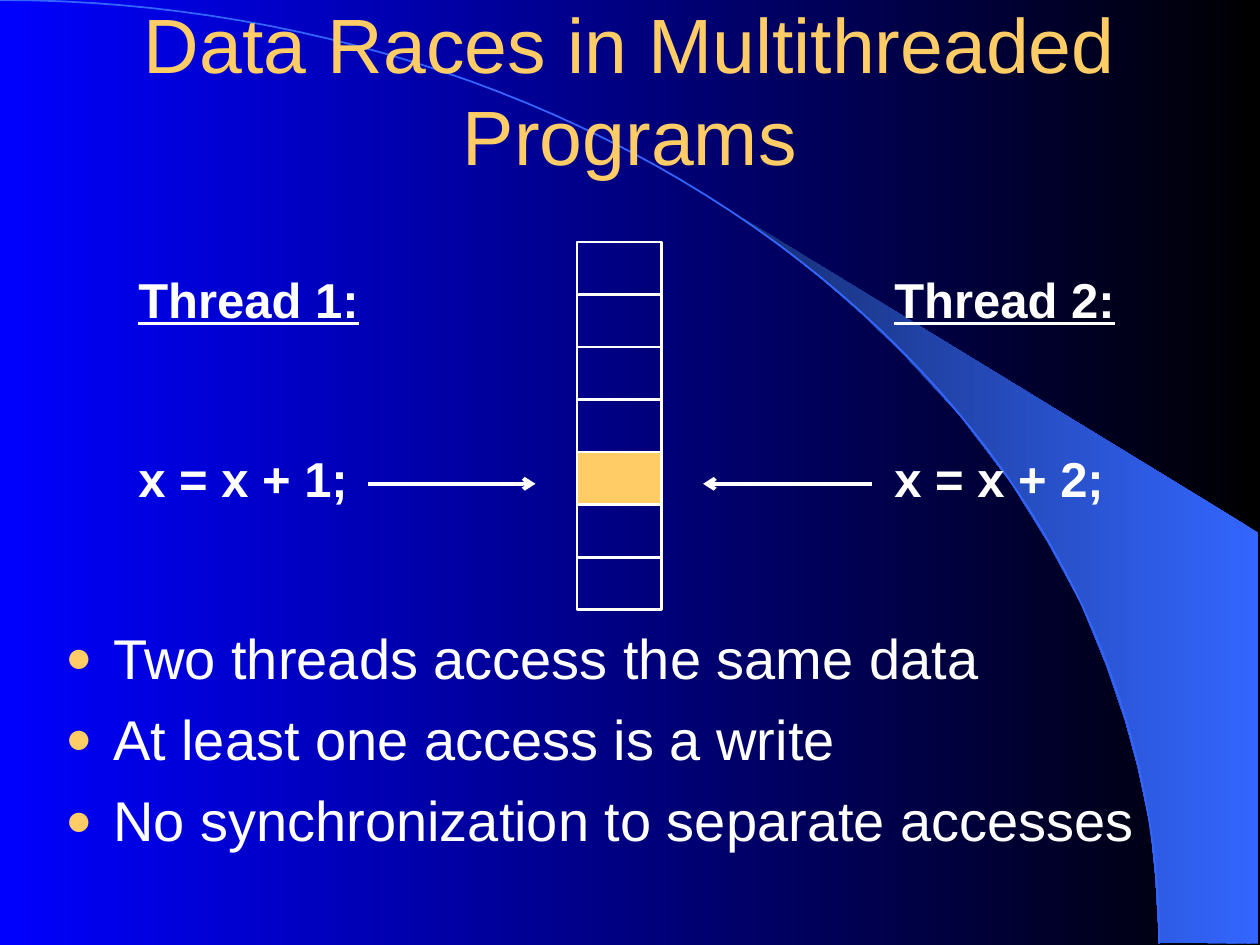
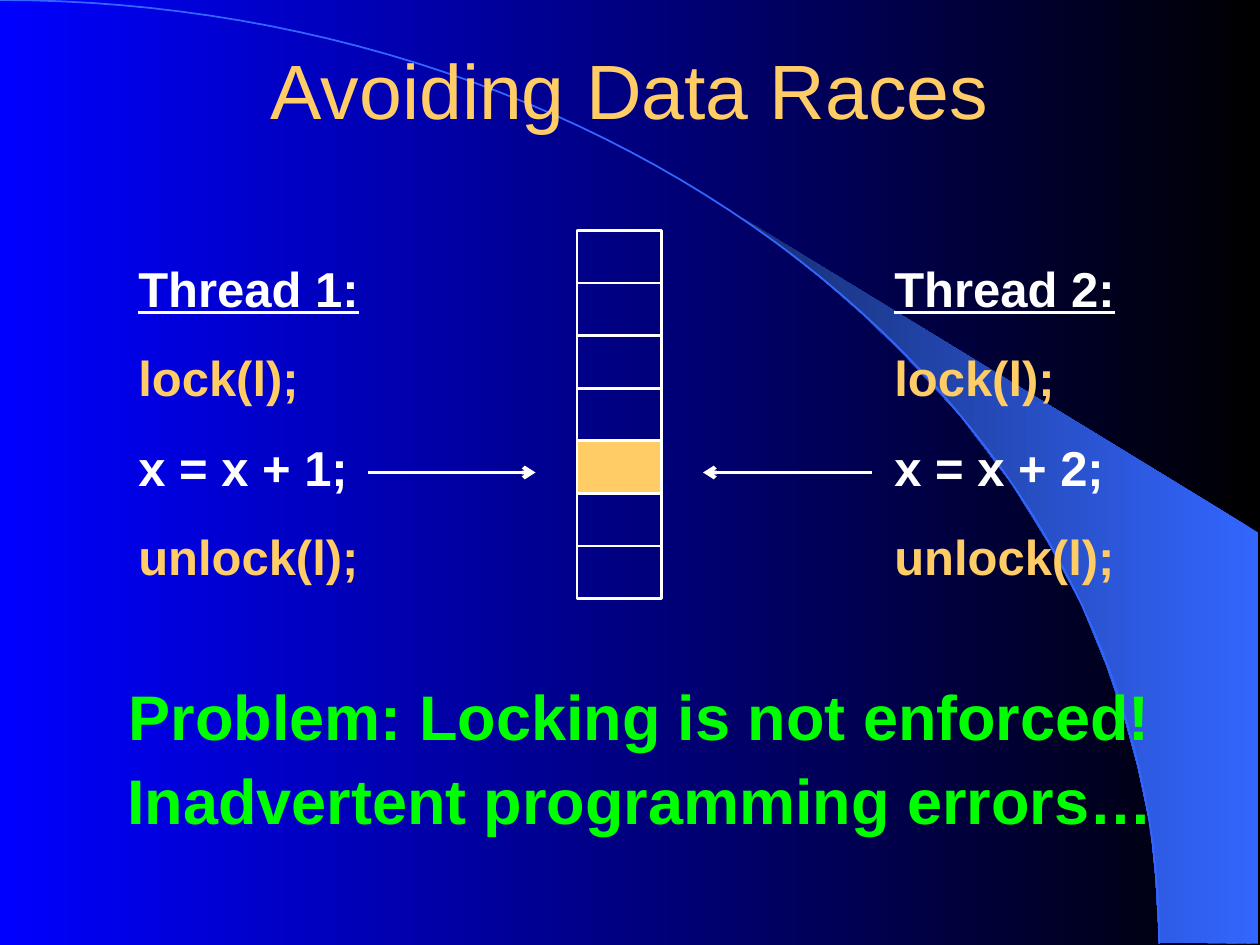
from dataclasses import dataclass
from math import cos, pi, sin

from lxml import etree
from pptx import Presentation
from pptx.dml.color import RGBColor
from pptx.enum.shapes import MSO_CONNECTOR, MSO_SHAPE
from pptx.enum.text import MSO_ANCHOR, MSO_AUTO_SIZE, PP_ALIGN
from pptx.oxml import parse_xml
from pptx.oxml.ns import qn
from pptx.util import Inches, Pt

STRAIGHT = MSO_CONNECTOR.STRAIGHT
RECTANGLE = MSO_SHAPE.RECTANGLE
TOP, MIDDLE = MSO_ANCHOR.TOP, MSO_ANCHOR.MIDDLE
NO_AUTOFIT = MSO_AUTO_SIZE.NONE
LEFT, CENTER = PP_ALIGN.LEFT, PP_ALIGN.CENTER
TITLE_ONLY = 5
DRAWING_NS = "http://schemas.openxmlformats.org/drawingml/2006/main"

WIDTH, HEIGHT = 10, 7.5
ARC_WIDTH, ARC_HEIGHT, ARC_STEPS = 9.2, 7.49, 60
SASH = [
    (9.2, 7.48), (9.99, 7.49), (9.99, 4.23), (5.89, 1.73), (6.24, 1.99),
    (6.53, 2.22), (6.85, 2.5), (7.16, 2.8), (7.62, 3.3), (8.03, 3.84),
    (8.32, 4.31), (8.58, 4.79), (8.78, 5.28), (8.93, 5.72), (9.03, 6.09),
    (9.13, 6.56), (9.17, 6.96),
]
MEMORY_LEFT, MEMORY_WIDTH, MEMORY_HEIGHT = 4.58, 0.67, 2.92
CELL_COUNT, SHARED_CELL = 7, 4
ARROW_DROP = 1.92
ARROW_SPANS = [(2.92, 4.25), (6.92, 5.58)]
THREADS = [(1, 1, 2), (2, 7, 2.17)]
THREAD_DROP = 0.17


@dataclass(frozen=True)
class Theme:
    font: str = "Arial"
    white: str = "FFFFFF"
    gold: str = "FFCC66"
    green: str = "00FF00"
    black: str = "000000"
    blue: str = "0000FF"
    sky: str = "3366FF"
    navy: str = "172F75"
    title_size: float = 44
    warning_size: float = 36
    point_size: float = 32
    code_size: float = 28
    code_gap: float = 17.5
    skipped_line_gap: float = 68.6
    point_gap: float = 8
    warning_gap: float = 9
    arc_line: float = 1
    cell_line: float = 1.5
    arrow_line: float = 2.25


def apply(target, values):
    for name, value in values.items():
        setattr(target, name, value)


def box(left, top, width, height):
    return {"left": Inches(left), "top": Inches(top),
            "width": Inches(width), "height": Inches(height)}


class Deck:
    def __init__(self, theme):
        self.theme = theme
        self.presentation = Presentation()
        apply(self.presentation,
              {"slide_width": Inches(WIDTH), "slide_height": Inches(HEIGHT)})
        self.layout = self.presentation.slide_layouts[TITLE_ONLY]
        self.slide = None

    def start_slide(self, title, left, width):
        self.slide = self.presentation.slides.add_slide(self.layout)
        heading = self.slide.shapes.title
        apply(heading, box(left, 0.08, width, 1.25))
        self.prepare_frame(heading.text_frame, MIDDLE)
        self.add_text(heading.text_frame.paragraphs[0], title,
                      self.theme.title_size, self.theme.gold, align=CENTER)

    def prepare_frame(self, frame, anchor):
        apply(frame, {
            "word_wrap": True, "auto_size": NO_AUTOFIT, "vertical_anchor": anchor,
            "margin_left": Inches(0.1), "margin_right": Inches(0.1),
            "margin_top": Inches(0.05), "margin_bottom": Inches(0.05),
        })

    def add_text(self, paragraph, text, size, color, bold=False, underline=False,
                 align=LEFT, gap=0, spacing=1.0):
        apply(paragraph, {"alignment": align, "space_before": Pt(gap),
                          "line_spacing": spacing})
        run = paragraph.add_run()
        run.text = text
        apply(run.font, {"name": self.theme.font, "size": Pt(size),
                         "bold": bold, "underline": underline})
        run.font.color.rgb = RGBColor.from_string(color)
        return run

    def text_box(self, place, lines):
        frame = self.slide.shapes.add_textbox(*box(*place).values()).text_frame
        self.prepare_frame(frame, TOP)
        runs = []
        for number, line in enumerate(lines):
            paragraph = frame.add_paragraph() if number else frame.paragraphs[0]
            runs.append(self.add_text(paragraph, **line))
        return frame, runs

    def bullets(self, place, points):
        theme = self.theme
        frame, _ = self.text_box(place, [
            {"text": point, "size": theme.point_size, "color": theme.white,
             "gap": theme.point_gap} for point in points])
        for paragraph in frame.paragraphs:
            properties = paragraph._p.get_or_add_pPr()
            properties.set("marL", str(Inches(0.38)))
            properties.set("indent", str(Inches(-0.38)))
            color = etree.SubElement(properties, qn("a:buClr"))
            etree.SubElement(color, qn("a:srgbClr"), val=theme.gold)
            etree.SubElement(properties, qn("a:buSzPct"), val="80000")
            etree.SubElement(properties, qn("a:buFont"), typeface=theme.font)
            etree.SubElement(properties, qn("a:buChar"), char="●")

    def warning(self, place, lines):
        theme = self.theme
        _, runs = self.text_box(place, [
            {"text": line, "size": theme.warning_size, "color": theme.green,
             "bold": True, "align": CENTER, "gap": theme.warning_gap,
             "spacing": 0.9} for line in lines])
        for run in runs:
            run._r.rPr.find(qn("a:solidFill")).addnext(parse_xml(
                f'<a:effectLst xmlns:a="{DRAWING_NS}">'
                '<a:outerShdw dist="35921" dir="2700000">'
                f'<a:srgbClr val="{theme.black}"/></a:outerShdw></a:effectLst>'))

    def outline(self, shape, color, width):
        shape.line.color.rgb = RGBColor.from_string(color)
        shape.line.width = Pt(width)

    def rectangle(self, place, fill=None):
        shape = self.slide.shapes.add_shape(RECTANGLE, *box(*place).values())
        shape.shadow.inherit = False
        if fill:
            shape.fill.solid()
            shape.fill.fore_color.rgb = RGBColor.from_string(fill)
        else:
            shape.fill.background()
        self.outline(shape, self.theme.white, self.theme.cell_line)

    def line(self, start, end, y, width, arrow=False):
        connector = self.slide.shapes.add_connector(
            STRAIGHT, Inches(start), Inches(y), Inches(end), Inches(y))
        self.outline(connector, self.theme.white, width)
        if arrow:
            etree.SubElement(connector.line._get_or_add_ln(),
                             qn("a:tailEnd"), type="arrow")
        etree.SubElement(connector.element.spPr, qn("a:effectLst"))

    def gradient(self, fill, colors):
        fill.gradient()
        fill.gradient_angle = 180
        for stop, color in zip(fill.gradient_stops, colors):
            stop.color.rgb = RGBColor.from_string(color)

    def freeform(self, points, closed):
        corners = [(Inches(x), Inches(y)) for x, y in points]
        builder = self.slide.shapes.build_freeform(*corners[0])
        builder.add_line_segments(corners[1:], close=closed)
        shape = builder.convert_to_shape()
        shape.shadow.inherit = False
        return shape

    def decorate_layout(self):
        theme = self.theme
        self.gradient(self.layout.background.fill, (theme.black, theme.blue))
        sash = self.freeform(SASH, True)
        self.gradient(sash.fill, (theme.sky, theme.navy))
        sash.line.fill.background()
        angles = [pi / 2 * step / ARC_STEPS for step in range(ARC_STEPS + 1)]
        arc = self.freeform([(ARC_WIDTH * sin(angle), ARC_HEIGHT * (1 - cos(angle)))
                             for angle in angles], False)
        arc.fill.background()
        self.outline(arc, theme.sky, theme.arc_line)
        for number, shape in enumerate((sash, arc), 101):
            shape.element.nvSpPr.cNvPr.set("id", str(number))
            self.layout.shapes.element.append(shape.element)

    def thread(self, number, left, top, width, locked):
        theme = self.theme
        code = {"size": theme.code_size, "bold": True, "gap": theme.code_gap}
        heading = {**code, "text": f"Thread {number}:", "color": theme.white,
                   "underline": True}
        update = {**code, "text": f"x = x + {number};", "color": theme.white}
        if locked:
            lock, unlock = [{**code, "text": call, "color": theme.gold}
                            for call in ("lock(l);", "unlock(l);")]
            lines = [heading, lock, update, unlock]
        else:
            lines = [heading, {**update, "gap": theme.skipped_line_gap}]
        self.text_box((left, top, width, 2.7), lines)

    def memory_diagram(self, top, locked):
        theme = self.theme
        for number, left, width in THREADS:
            self.thread(number, left, top + THREAD_DROP, width, locked)
        cell = MEMORY_HEIGHT / CELL_COUNT
        self.rectangle((MEMORY_LEFT, top, MEMORY_WIDTH, MEMORY_HEIGHT))
        for row in range(1, CELL_COUNT):
            if row not in (SHARED_CELL, SHARED_CELL + 1):
                self.line(MEMORY_LEFT, MEMORY_LEFT + MEMORY_WIDTH,
                          top + row * cell, theme.cell_line)
        self.rectangle((MEMORY_LEFT, top + SHARED_CELL * cell, MEMORY_WIDTH, cell),
                       theme.gold)
        for start, end in ARROW_SPANS:
            self.line(start, end, top + ARROW_DROP, theme.arrow_line, arrow=True)


def main():
    deck = Deck(Theme())

    deck.start_slide("Data Races in Multithreaded Programs", 0.75, 8.5)
    deck.decorate_layout()
    deck.bullets((0.42, 4.9, 9.17, 2.24), [
        "Two threads access the same data",
        "At least one access is a write",
        "No synchronization to separate accesses",
    ])
    deck.memory_diagram(1.92, locked=False)

    deck.start_slide("Avoiding Data Races", 0, 10)
    deck.warning((0.16, 5.4, 9.84, 1.36), [
        "Problem: Locking is not enforced!",
        "Inadvertent programming errors…",
    ])
    deck.memory_diagram(1.83, locked=True)

    deck.presentation.save("out.pptx")


if __name__ == "__main__":
    main()
